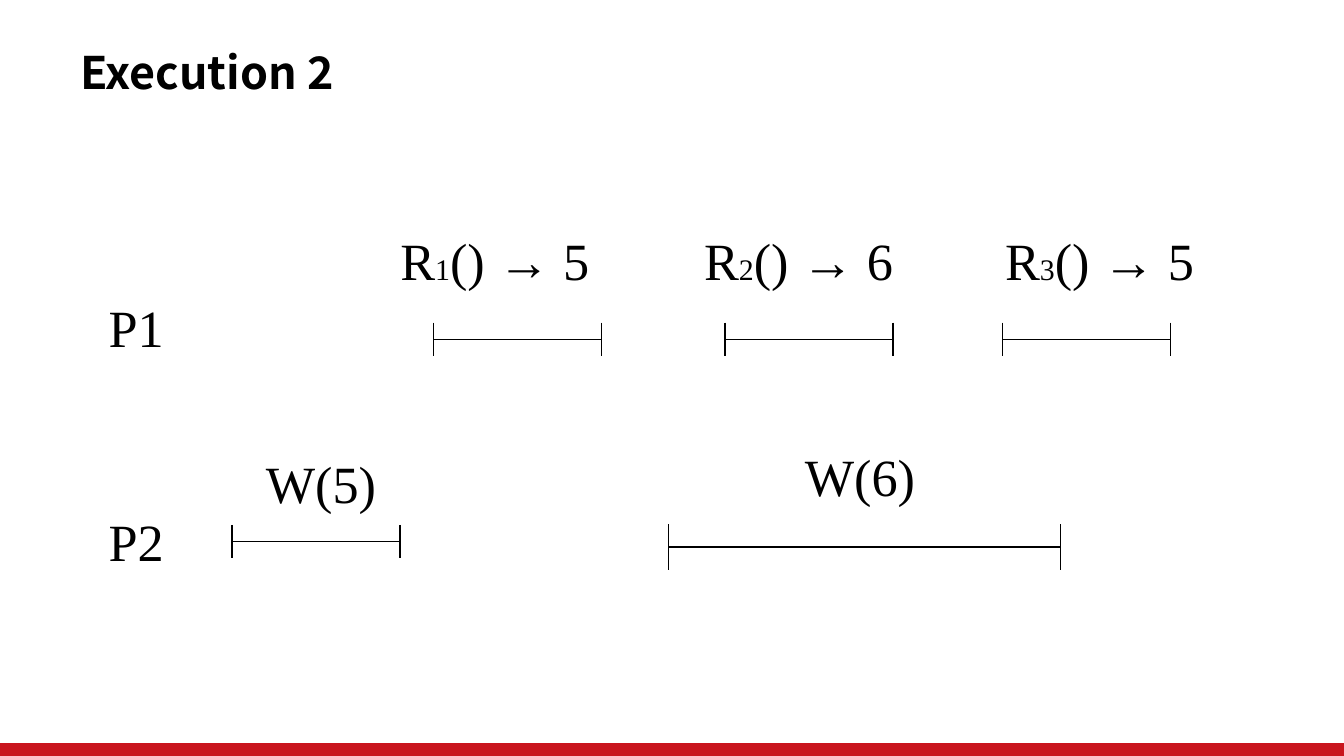
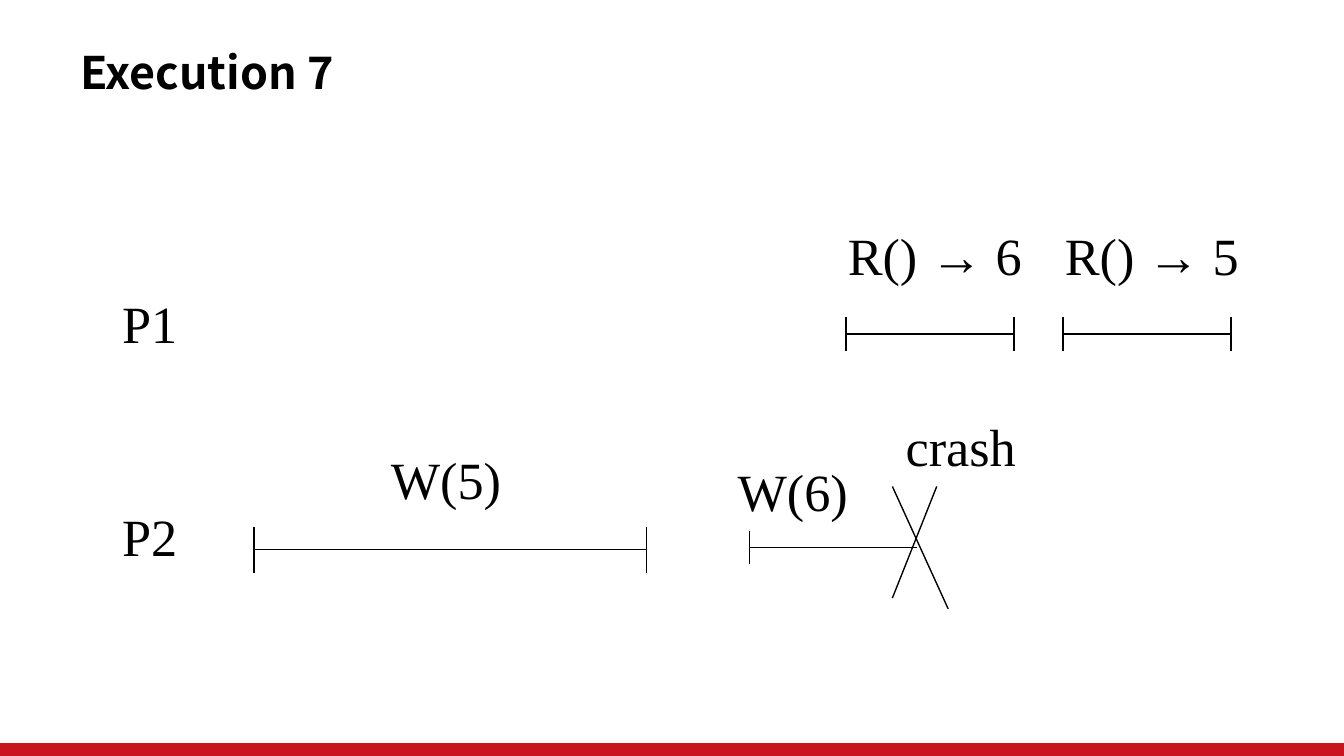
"""Build two execution diagrams of reads and writes by processes P1 and P2."""
from pptx import Presentation
from pptx.dml.color import RGBColor
from pptx.enum.shapes import MSO_CONNECTOR, MSO_SHAPE
from pptx.enum.text import MSO_ANCHOR, MSO_AUTO_SIZE
from pptx.oxml.ns import qn
from pptx.util import Emu, Inches, Pt
from lxml.etree import SubElement

PX = Inches(1) // 200
SLIDE_WIDTH, SLIDE_HEIGHT = 2000, 1125
BAND_TOP = 1106
LABEL_HEIGHT = 114
SHORT_TICK, TALL_TICK = 25, 34
PROCESS_WIDTH, WRITE_WIDTH, READ_WIDTH, INDEXED_WIDTH = 122, 204, 300, 322
COLORS = {"ink": "000000", "band": "C9151E"}
TITLE_FONT = {"name": "Noto Sans CJK SC", "size": Pt(24), "bold": True}
LABEL_FONT = {"name": "Times New Roman", "size": Pt(28)}
INDEX_FONT = {**LABEL_FONT, "size": Pt(16)}
TITLE_FRAME = {"word_wrap": False, "vertical_anchor": MSO_ANCHOR.MIDDLE}
LABEL_FRAME = {"word_wrap": False, "auto_size": MSO_AUTO_SIZE.SHAPE_TO_FIT_TEXT}


def px(*lengths):
    """Turn px lengths into EMU."""
    return [Emu(length * PX) for length in lengths]


def color(key):
    """Look up a named colour."""
    return RGBColor.from_string(COLORS[key])


def apply(target, values):
    """Set every attribute in a dict of format values."""
    for attribute, value in values.items():
        setattr(target, attribute, value)


def add_text(slide, box, pieces, frame_format):
    """Write one paragraph made of (text, font) pieces."""
    frame = slide.shapes.add_textbox(*px(*box)).text_frame
    apply(frame, frame_format)
    for wording, font in pieces:
        run = frame.paragraphs[0].add_run()
        run.text = wording
        apply(run.font, font)
        run.font.color.rgb = color("ink")


def add_label(slide, left, top, width, wording):
    """Write a diagram label in one size."""
    add_text(slide, (left, top, width, LABEL_HEIGHT), [(wording, LABEL_FONT)], LABEL_FRAME)


def add_indexed_read(slide, left, top, index, value):
    """Write a numbered read with the value it returns."""
    pieces = [("R", LABEL_FONT), (str(index), INDEX_FONT), (f"() → {value}", LABEL_FONT)]
    add_text(slide, (left, top, INDEXED_WIDTH, LABEL_HEIGHT), pieces, LABEL_FRAME)


def add_line(slide, *ends):
    """Draw a thin straight line from x1, y1 to x2, y2."""
    line = slide.shapes.add_connector(MSO_CONNECTOR.STRAIGHT, *px(*ends))
    line.line.color.rgb = color("ink")
    line.line.width = Pt(0.75)
    SubElement(line._element.spPr, qn("a:effectLst"))


def add_interval(slide, start, end, middle, tick=SHORT_TICK, completed=True):
    """Draw an operation's duration, with an end tick if it completed."""
    add_line(slide, start, middle, end, middle)
    for x in (start, end) if completed else (start,):
        add_line(slide, x, middle - tick, x, middle + tick)


def add_processes(slide, left, first_top, second_top):
    """Name the two process rows."""
    for name, top in (("P1", first_top), ("P2", second_top)):
        add_label(slide, left, top, PROCESS_WIDTH, name)


def add_execution(deck, number):
    """Add a slide with the shared band and title."""
    slide = deck.slides.add_slide(deck.slide_layouts[6])
    band = slide.shapes.add_shape(
        MSO_SHAPE.RECTANGLE, *px(0, BAND_TOP, SLIDE_WIDTH, SLIDE_HEIGHT - BAND_TOP))
    band.shadow.inherit = False
    band.fill.solid()
    band.fill.fore_color.rgb = color("band")
    band.line.fill.background()
    add_text(slide, (100, 58, 1392, 98), [(f"Execution {number}", TITLE_FONT)], TITLE_FRAME)
    return slide


def build_execution_2(deck):
    """Show three reads, two of them overlapping the second write."""
    slide = add_execution(deck, 2)
    add_processes(slide, 142, 430, 748)
    reads = ((576, 645, 5), (1028, 1079, 6), (1476, 1492, 5))
    for index, (label_left, start, value) in enumerate(reads, 1):
        add_indexed_read(slide, label_left, 330, index, value)
        add_interval(slide, start, start + 250, 505)
    add_label(slide, 376, 662, WRITE_WIDTH, "W(5)")
    add_interval(slide, 345, 595, 806)
    add_label(slide, 1178, 652, WRITE_WIDTH, "W(6)")
    add_interval(slide, 995, 1578, 814, TALL_TICK)


def build_execution_7(deck):
    """Show two reads around a write cut short by a crash."""
    slide = add_execution(deck, 7)
    add_processes(slide, 162, 424, 740)
    for label_left, start, value in ((1242, 1259, 6), (1565, 1582, 5)):
        add_label(slide, label_left, 322, READ_WIDTH, f"R() → {value}")
        add_interval(slide, start, start + 250, 497)
    add_label(slide, 562, 656, WRITE_WIDTH, "W(5)")
    add_interval(slide, 378, 962, 818, TALL_TICK)
    add_label(slide, 1078, 674, WRITE_WIDTH, "W(6)")
    add_interval(slide, 1115, 1365, 815, completed=False)
    add_label(slide, 1328, 606, WRITE_WIDTH, "crash")
    add_line(slide, 1394, 724, 1328, 890)
    add_line(slide, 1328, 724, 1411, 906)


def main():
    """Build and save the deck."""
    deck = Presentation()
    deck.slide_width, deck.slide_height = px(SLIDE_WIDTH, SLIDE_HEIGHT)
    build_execution_2(deck)
    build_execution_7(deck)
    deck.save("out.pptx")


if __name__ == "__main__":
    main()
